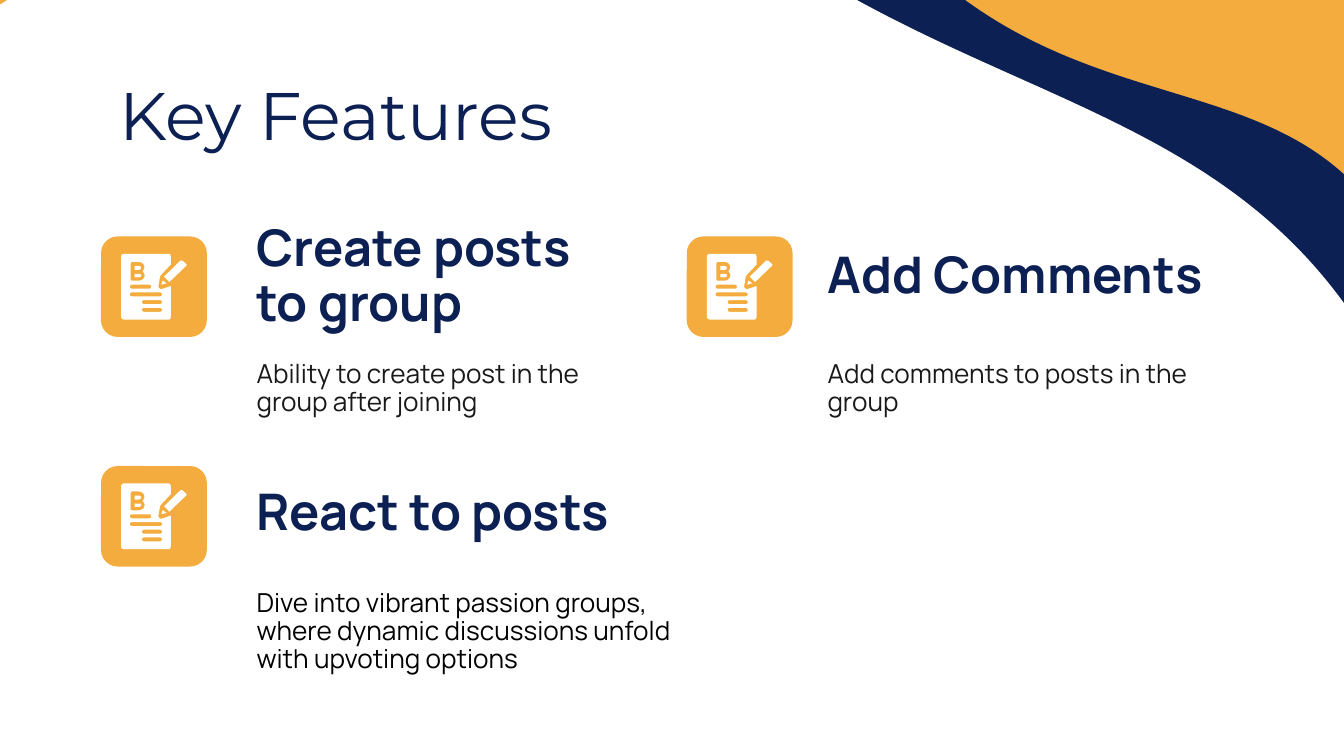
from dataclasses import dataclass

import pptx
import pptx.dml.color
import pptx.enum.shapes
import pptx.enum.text
import pptx.util

Cm = pptx.util.Cm
Kind = pptx.enum.shapes.MSO_SHAPE


@dataclass(frozen=True)
class Theme:
    """Colours, fonts and type sizes of the deck."""
    navy: str = "0C2054"
    orange: str = "F3AC3D"
    white: str = "FFFFFF"
    ink: str = "191919"
    black: str = "000000"
    display: str = "Montserrat"
    body: str = "Manrope"
    title_size: int = 36
    heading_size: int = 27
    detail_size: int = 14


@dataclass(frozen=True)
class Box:
    """A rectangle in centimetres."""
    left: float
    top: float
    width: float
    height: float

    def inner(self, left, top, width, height):
        """Return a box placed relative to this one."""
        return Box(self.left + left, self.top + top, width, height)

    def lengths(self):
        """Return the four sides as slide lengths."""
        return Cm(self.left), Cm(self.top), Cm(self.width), Cm(self.height)


THEME = Theme()
PAGE = Box(0, 0, 25.4, 14.29)
TILE_UNITS = 79


def bar(left, right, top):
    """Return the outline of a round-ended text line, three units thick."""
    low = top + 3
    return [(right, top), (right + 2, top, right + 2, low, right, low),
            (left, low), (left - 2, low, left - 2, top, left, top)]


LETTER = [(28, 19), (32, 19, 34, 23, 31, 26), (32, 27, 32.5, 28, 32.5, 29),
          (32.5, 31, 31, 33, 28, 33), (23, 33), (22.5, 33, 22, 32.5, 22, 32),
          (22, 21), (22, 20, 22.5, 19, 23, 19)]
SHEET = [(17, 13), (16, 13, 15, 14, 15, 15), (15, 60), (15, 61, 16, 62, 17, 62),
         (50.5, 62), (51.5, 62, 52, 61, 52, 60), (52, 37), (46, 39),
         (44, 40, 42, 38, 43, 36), (44, 30), (44.5, 29), (52, 21), (52, 15),
         (52, 14, 51.5, 13, 50.5, 13)]
UPPER_BOWL = [(25, 22), (25, 25), (28, 25), (29, 25, 30, 24, 30, 23.5),
              (30, 23, 29, 22, 28, 22)]
LOWER_BOWL = [(25, 28), (25, 30.5), (28, 30.5), (29, 30.5, 30, 30, 30, 29),
              (30, 28, 29, 28, 28, 28)]
NIB = [(46, 33), (45, 36), (49, 35)]
PENCIL = [(60, 18), (59.7, 18, 59.3, 18, 59, 18.2), (47, 30), (51, 34),
          (63.5, 22), (64, 21.7, 64, 21, 63.5, 20.5), (61, 18.2),
          (60.7, 18, 60.3, 18, 60, 18)]
TEXT_LINES = [bar(left, right, 36 + 5.75 * row) for row, (left, right)
              in enumerate([(23, 36), (23, 44), (32, 44), (32, 44)])]
GLYPH = [[UPPER_BOWL], [LOWER_BOWL], [SHEET, LETTER, *TEXT_LINES], [NIB], [PENCIL]]


def flatten(outline, steps=6):
    """Turn an outline of points and cubic curves into plain points."""
    points = [outline[0]]
    for segment in outline[1:]:
        if len(segment) == 2:
            points.append(segment)
            continue
        knots = [points[-1], segment[:2], segment[2:4], segment[4:]]
        for step in range(1, steps + 1):
            t = step / steps
            weights = ((1 - t) ** 3, 3 * t * (1 - t) ** 2, 3 * t * t * (1 - t), t ** 3)
            points.append(tuple(sum(w * knot[axis] for w, knot in zip(weights, knots))
                                for axis in (0, 1)))
    return points


def rgb(colour):
    """Return a colour object for a hex string."""
    return pptx.dml.color.RGBColor.from_string(colour)


def paint(shape, colour):
    """Give a shape a flat fill with no outline or shadow."""
    shape.shadow.inherit = False
    shape.fill.solid()
    shape.fill.fore_color.rgb = rgb(colour)
    shape.line.fill.background()


def place_text(slide, box, words, size, colour, font, bold=False, spacing=1.0):
    """Write vertically centred, wrapped text in the box."""
    frame = slide.shapes.add_textbox(*box.lengths()).text_frame
    frame.word_wrap = True
    frame.vertical_anchor = pptx.enum.text.MSO_ANCHOR.MIDDLE
    frame.margin_left = frame.margin_right = Cm(0.25)
    frame.margin_top = frame.margin_bottom = Cm(0.25)
    frame.text = words
    paragraph = frame.paragraphs[0]
    paragraph.line_spacing = spacing
    for run in paragraph.runs:
        run.font.size = pptx.util.Pt(size)
        run.font.name = font
        run.font.bold = bold
        run.font.color.rgb = rgb(colour)


def place_waves(slide, box):
    """Lay the navy and white waves over the orange background."""
    slide.background.fill.solid()
    slide.background.fill.fore_color.rgb = rgb(THEME.orange)
    for wave_box, angle, colour in (
            (box.inner(8.03, -3.35, 14.4, 22.5), 232.8, THEME.navy),
            (box.inner(-5.46, -7.32, 26.19, 36.12), 236.6, THEME.white)):
        wave = slide.shapes.add_shape(Kind.FLOWCHART_DOCUMENT, *wave_box.lengths())
        wave.rotation = angle
        paint(wave, colour)


def place_icon(slide, box):
    """Draw the orange tile with a written page and a pencil."""
    tile = slide.shapes.add_shape(Kind.ROUNDED_RECTANGLE, *box.lengths())
    paint(tile, THEME.orange)
    left, top, width, _ = box.lengths()
    unit = width / TILE_UNITS
    glyph = slide.shapes.add_group_shape()
    for outlines in GLYPH:
        contours = [[(x * unit, y * unit) for x, y in flatten(outline)]
                    for outline in outlines]
        builder = glyph.shapes.build_freeform(*contours[0][0])
        builder.add_line_segments(contours[0][1:], close=True)
        for contour in contours[1:]:
            builder.move_to(*contour[0])
            builder.add_line_segments(contour[1:], close=True)
        paint(builder.convert_to_shape(left, top), THEME.white)


def place_feature(slide, box, heading, heading_box, detail, detail_box, ink):
    """Place an icon in the box, with heading and detail set off from it."""
    place_icon(slide, box)
    place_text(slide, box.inner(*heading_box), heading, THEME.heading_size,
               THEME.navy, THEME.body, bold=True, spacing=0.9)
    place_text(slide, box.inner(*detail_box), detail, THEME.detail_size,
               ink, THEME.body, spacing=0.88)


def place_key_features(slide, box):
    """Fill the page with its waves, title and three features."""
    place_waves(slide, box)
    place_text(slide, box.inner(2.01, 1.47, 21.41, 1.35), "Key Features",
               THEME.title_size, THEME.navy, THEME.display)
    features = (
        (1.91, 4.47, "Create posts to group", (2.69, -0.28, 6.76, 2.11),
         "Ability to create post in the group after joining",
         (2.69, 2.21, 7.98, 1.35), THEME.ink),
        (12.98, 4.47, "Add Comments", (2.41, -0.28, 9.14, 2.11),
         "Add comments to posts in the group",
         (2.41, 2.21, 7.98, 1.35), THEME.ink),
        (1.91, 8.81, "React to posts", (2.69, -0.15, 7.98, 2.11),
         "Dive into vibrant passion groups, where dynamic discussions unfold "
         "with upvoting options", (2.69, 1.55, 8.86, 3.18), THEME.black),
    )
    for left, top, *content in features:
        place_feature(slide, box.inner(left, top, 2, 1.9), *content)


def main():
    """Build and save the deck."""
    deck = pptx.Presentation()
    deck.slide_width, deck.slide_height = PAGE.lengths()[2:]
    place_key_features(deck.slides.add_slide(deck.slide_layouts[6]), PAGE)
    deck.save("out.pptx")


if __name__ == "__main__":
    main()
